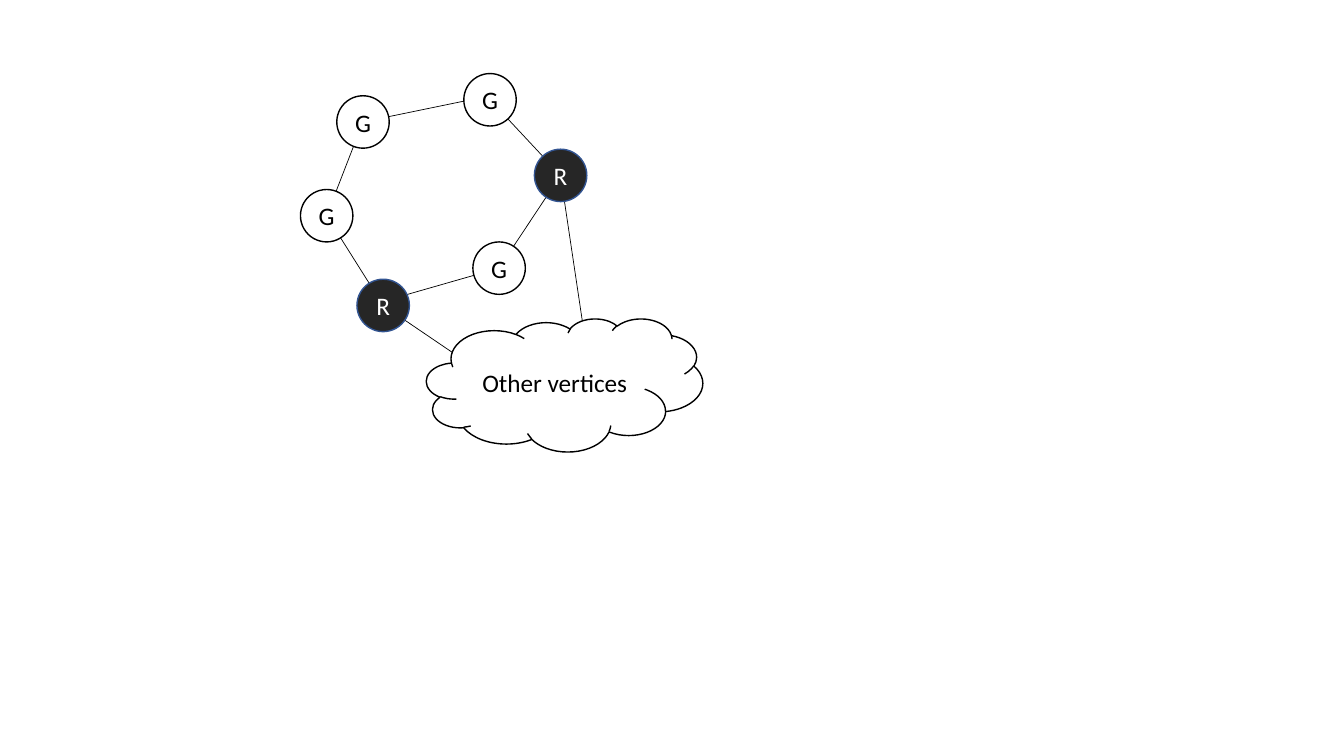
import pptx
import pptx.util
import pptx.dml.color
import pptx.enum.shapes
import pptx.enum.text
import pptx.oxml.ns
import lxml.etree

PX = 9144  # EMU per px, 100 px to the inch
BLACK = pptx.dml.color.RGBColor(0x00, 0x00, 0x00)
WHITE = pptx.dml.color.RGBColor(0xFF, 0xFF, 0xFF)
CHARCOAL = pptx.dml.color.RGBColor(0x26, 0x26, 0x26)
NAVY = pptx.dml.color.RGBColor(0x32, 0x54, 0x91)

DIAMETER = 52
SHAPES = pptx.enum.shapes.MSO_SHAPE
LABEL_FONT = {"name": "Calibri", "size": pptx.util.Pt(18)}
COLOURS = {  # fill, outline, text
    "R": (CHARCOAL, NAVY, WHITE),
    "G": (WHITE, BLACK, BLACK),
}

# vertex: label and centre
vertices = {
    "lower": ("R", 380, 303),
    "left": ("G", 324, 214),
    "upper left": ("G", 360, 121),
    "top": ("G", 486, 99),
    "right": ("R", 556, 174),
    "inner": ("G", 495, 266),
}

centres = {vertex: (x, y) for vertex, (label, x, y) in vertices.items()}
anchors = centres | {"cloud left": (486, 375), "cloud top": (582, 348)}

# start, end and how far the end sits above its anchor
edges = [
    ("lower", "cloud left", 0),
    ("right", "cloud top", 0),
    ("inner", "lower", 4),
    ("left", "lower", 0),
    ("left", "upper left", 0),
    ("upper left", "top", 4),
    ("top", "right", 0),
    ("right", "inner", 0),
]


def add_node(kind, label, box, colours):
    node = slide.shapes.add_shape(kind, *(length * PX for length in box))
    fill, outline, text = colours
    node.shadow.inherit = False
    node.fill.solid()
    node.fill.fore_color.rgb = fill
    node.line.color.rgb = outline
    node.line.width = pptx.util.Pt(1)
    node.text_frame.vertical_anchor = pptx.enum.text.MSO_ANCHOR.MIDDLE
    paragraph = node.text_frame.paragraphs[0]
    paragraph.alignment = pptx.enum.text.PP_ALIGN.CENTER
    run = paragraph.add_run()
    run.text = label
    for attribute, value in LABEL_FONT.items():
        setattr(run.font, attribute, value)
    run.font.color.rgb = text


deck = pptx.Presentation()
deck.slide_width = 1333 * PX
deck.slide_height = 750 * PX
slide = deck.slides.add_slide(deck.slide_layouts[6])

for start, end, rise in edges:
    start_x, start_y = anchors[start]
    end_x, end_y = anchors[end]
    edge = slide.shapes.add_connector(
        pptx.enum.shapes.MSO_CONNECTOR.STRAIGHT,
        start_x * PX, start_y * PX, end_x * PX, (end_y - rise) * PX)
    edge.line.color.rgb = BLACK
    edge.line.width = pptx.util.Pt(0.5)
    lxml.etree.SubElement(edge._element.spPr, pptx.oxml.ns.qn("a:effectLst"))

for label, x, y in vertices.values():
    box = (x - DIAMETER // 2, y - DIAMETER // 2, DIAMETER, DIAMETER)
    add_node(SHAPES.OVAL, label, box, COLOURS[label])

add_node(SHAPES.CLOUD, "Other vertices", (423, 316, 274, 132), COLOURS["G"])

deck.save("out.pptx")
